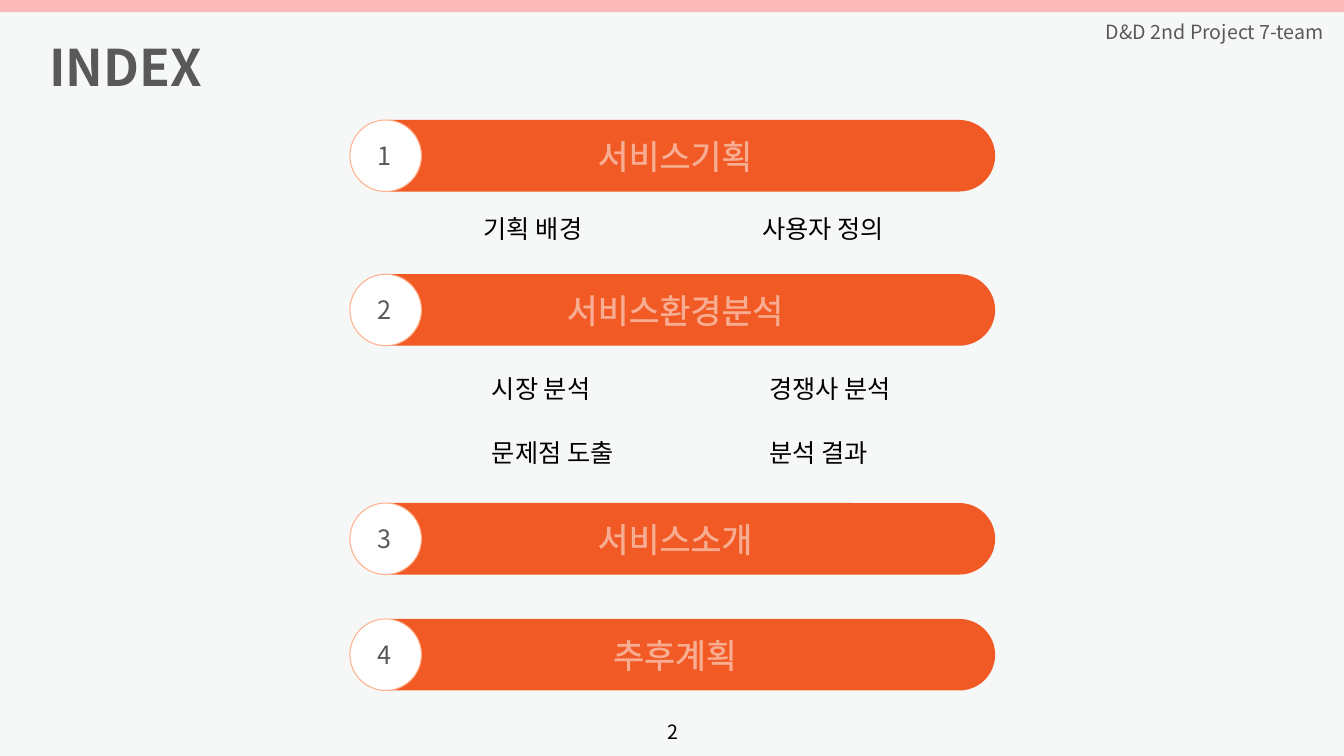
from dataclasses import dataclass

import pptx
import pptx.dml.color
import pptx.enum.shapes
import pptx.enum.text
import pptx.oxml
import pptx.oxml.ns
import pptx.util
from pptx.util import Inches

SHAPE = pptx.enum.shapes.MSO_SHAPE
ALIGN = pptx.enum.text.PP_ALIGN
ANCHOR = pptx.enum.text.MSO_ANCHOR


@dataclass(frozen=True)
class Theme:
    font: str = "Noto Sans CJK KR"
    background: str = "F6F8F8"
    strip: str = "FBB9B9"
    bar: str = "F15A24"
    ring: str = "FFB08B"
    white: str = "FFFFFF"
    black: str = "000000"
    grey: str = "595959"
    mid_grey: str = "666666"
    title_size: int = 36
    section_size: int = 24
    topic_size: int = 18
    small_size: int = 14
    outline_width: float = 0.75


THEME = Theme()

# Section top, title and topics as (left, top, width, text)
SECTIONS = [
    (1.19, "서비스기획", [(4.7, 2.07, 1.62, "기획 배경"), (7.46, 2.07, 1.55, "사용자 정의")]),
    (2.72, "서비스환경분석", [
        (4.78, 3.65, 1.62, "시장 분석"), (7.53, 3.65, 1.55, "경쟁사 분석"),
        (4.78, 4.29, 1.62, "문제점 도출"), (7.53, 4.29, 2.49, "분석 결과"),
    ]),
    (4.99, "서비스소개", []),
    (6.14, "추후계획", []),
]


def rgb(color):
    return pptx.dml.color.RGBColor.from_string(color)


def outline_text(span, color, opacity):
    """Give the letters a thin, partly transparent outline."""
    line = pptx.oxml.parse_xml(
        f'<a:ln {pptx.oxml.ns.nsdecls("a")} w="{pptx.util.Pt(THEME.outline_width)}">'
        f'<a:solidFill><a:srgbClr val="{color}"><a:alpha val="{opacity * 1000}"/>'
        '</a:srgbClr></a:solidFill></a:ln>')
    span.font._element.insert(0, line)


def write(shape, text, size, color, opacity=None, outline=None,
          bold=False, align=ALIGN.LEFT, anchor=ANCHOR.TOP):
    frame = shape.text_frame
    frame.word_wrap = True
    frame.vertical_anchor = anchor
    para = frame.paragraphs[0]
    para.alignment = align
    span = para.add_run()
    span.text = text
    span.font.name = THEME.font
    span.font.size = pptx.util.Pt(size)
    span.font.bold = bold
    span.font.color.rgb = rgb(color)
    if opacity is not None:
        outline_text(span, outline or color, opacity)


def add_block(page, kind, left, top, width, height, fill, line=None):
    block = page.shapes.add_shape(
        kind, Inches(left), Inches(top), Inches(width), Inches(height))
    block.shadow.inherit = False
    block.fill.solid()
    block.fill.fore_color.rgb = rgb(fill)
    if kind == SHAPE.ROUNDED_RECTANGLE:
        block.adjustments[0] = 0.5
    if line:
        block.line.color.rgb = rgb(line)
        block.line.width = pptx.util.Pt(THEME.outline_width)
    else:
        block.line.fill.background()
    return block


def add_label(page, left, top, width, height, text, size, color, **style):
    box = page.shapes.add_textbox(
        Inches(left), Inches(top), Inches(width), Inches(height))
    write(box, text, size, color, **style)


def add_section(page, number, top, title, topics):
    bar = add_block(page, SHAPE.ROUNDED_RECTANGLE, 3.52, top, 6.35, 0.71, THEME.bar)
    write(bar, title, THEME.section_size, THEME.white, opacity=50,
          align=ALIGN.CENTER, anchor=ANCHOR.MIDDLE)
    add_block(page, SHAPE.ROUNDED_RECTANGLE, 3.47, top, 0.71, 0.71,
              THEME.white, THEME.ring)
    add_label(page, 3.65, top + 0.15, 0.34, 0.41, str(number),
              THEME.topic_size, THEME.grey, opacity=100)
    for left, topic_top, width, text in topics:
        add_label(page, left, topic_top, width, 0.4, text,
                  THEME.topic_size, THEME.black, opacity=50)


def main():
    deck = pptx.Presentation()
    deck.slide_width, deck.slide_height = Inches(13.33), Inches(7.5)
    page = deck.slides.add_slide(deck.slide_layouts[6])
    page.background.fill.solid()
    page.background.fill.fore_color.rgb = rgb(THEME.background)

    # Header
    add_block(page, SHAPE.RECTANGLE, 0, 0, 13.33, 0.12, THEME.strip)
    add_label(page, 0.39, 0.31, 1.85, 0.71, "INDEX",
              THEME.title_size, THEME.grey, bold=True)
    add_label(page, 10.87, 0.15, 2.49, 0.34, "D&D 2nd Project 7-team",
              THEME.small_size, THEME.grey, opacity=20, outline=THEME.mid_grey)

    # Sections
    for number, (top, title, topics) in enumerate(SECTIONS, start=1):
        add_section(page, number, top, title, topics)

    # Page number
    add_label(page, 6.4, 7.06, 0.54, 0.4, "2", THEME.small_size, THEME.black,
              opacity=20, align=ALIGN.CENTER, anchor=ANCHOR.MIDDLE)

    deck.save("out.pptx")


if __name__ == "__main__":
    main()
